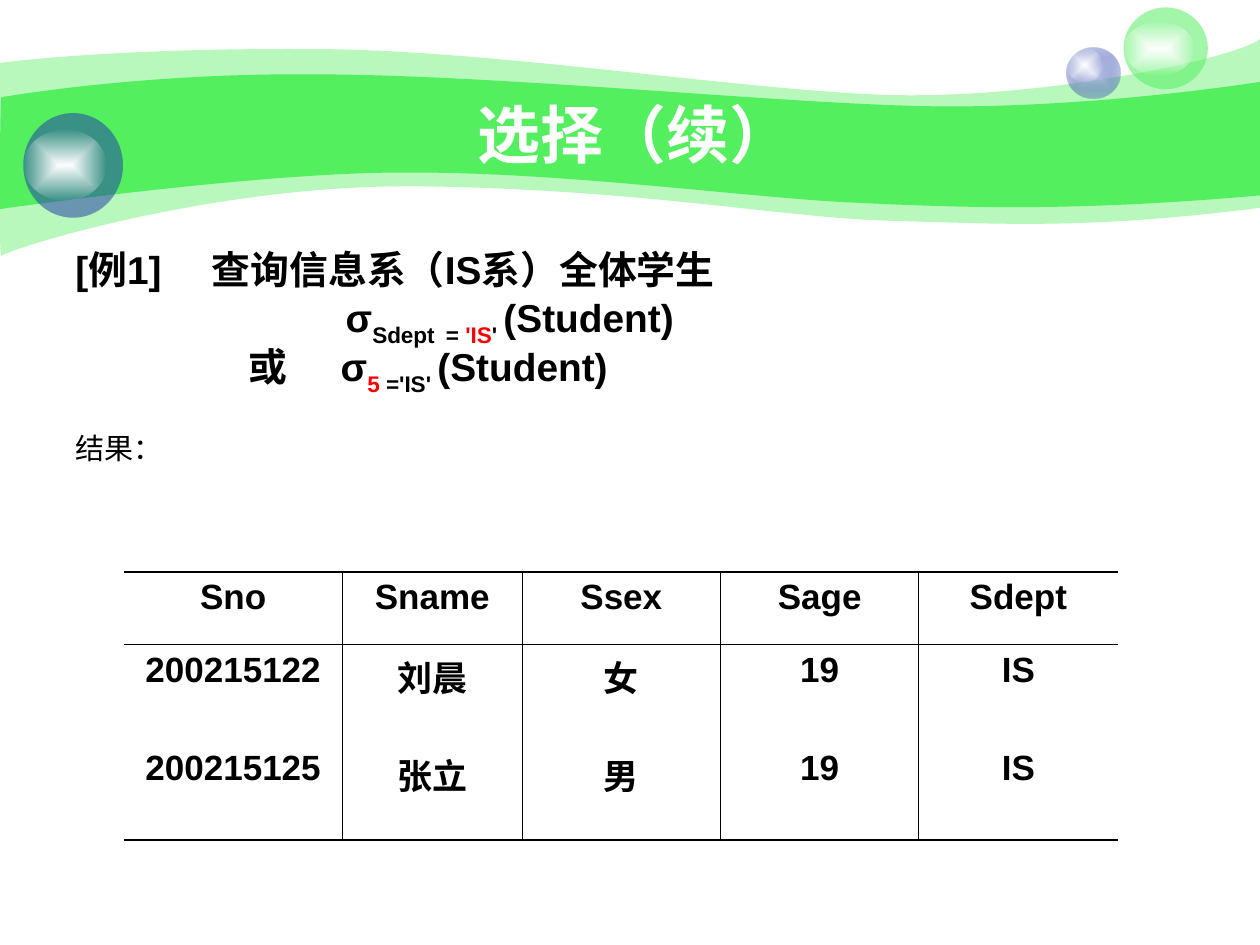
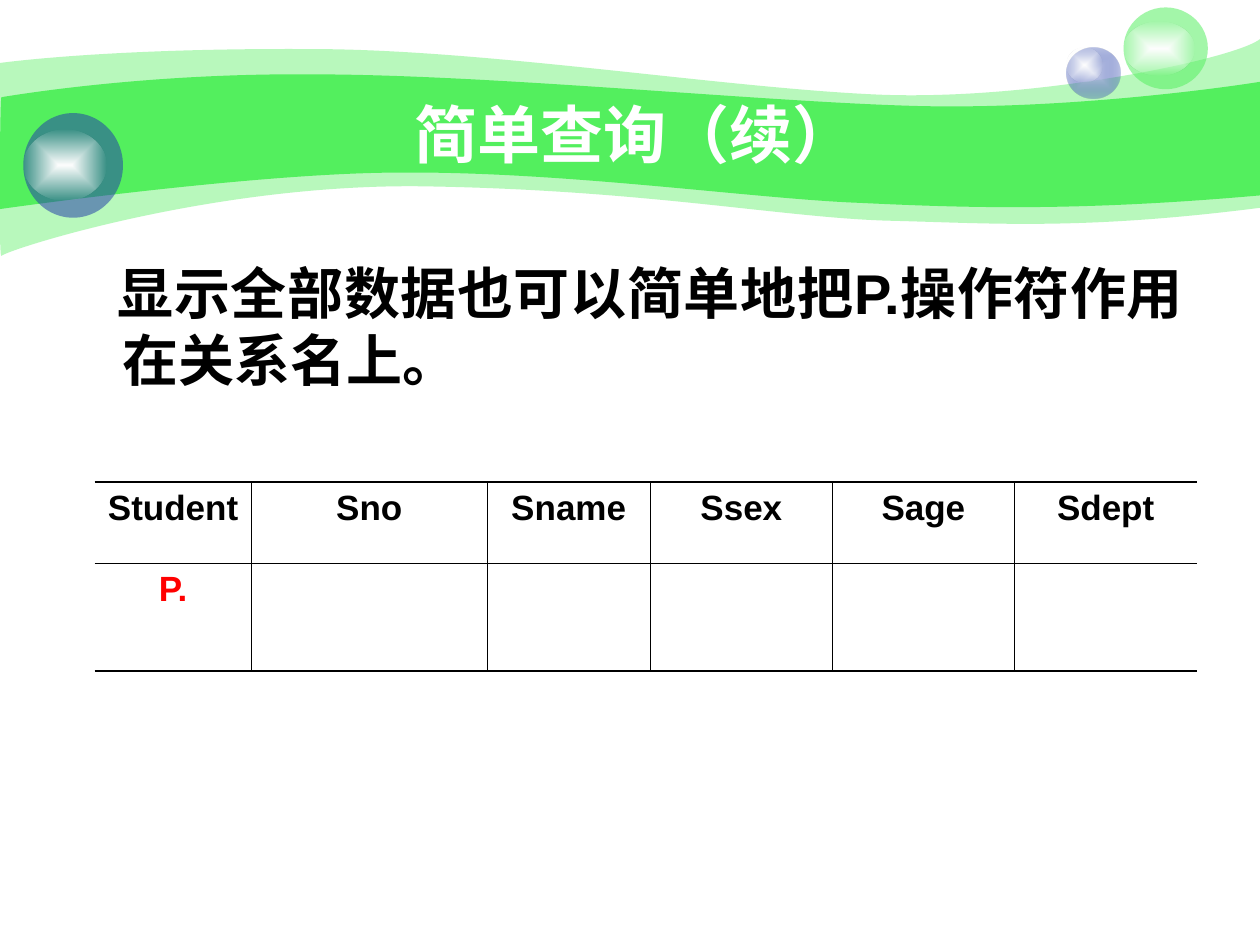
from lxml import etree
from pptx import Presentation
from pptx.dml.color import RGBColor
from pptx.enum.shapes import MSO_SHAPE
from pptx.enum.text import MSO_ANCHOR, PP_ALIGN
from pptx.oxml.ns import qn
from pptx.util import Cm, Pt

OVAL = MSO_SHAPE.OVAL
MIDDLE = MSO_ANCHOR.MIDDLE
LEFT, CENTER, JUSTIFY = PP_ALIGN.LEFT, PP_ALIGN.CENTER, PP_ALIGN.JUSTIFY

GREEN = RGBColor(0x53, 0xEF, 0x5E)
BLUE = RGBColor(0x23, 0x3D, 0xA9)
PALE = RGBColor(0xC7, 0xCE, 0xE9)
WHITE = RGBColor(0xFF, 0xFF, 0xFF)
BLACK = RGBColor(0, 0, 0)
RED = RGBColor(0xFF, 0, 0)
FONT = "Arial"

THICK, THIN = 1.08, 0.45

# Band outlines in cm: a start, then curves (six numbers) or lines (two)
OUTER = [
    (0, 1.27),
    (0.61, 1.19, 2.72, 0.97, 6.27, 0.99),
    (9.8, 0.99, 14.61, 1.78, 17.75, 1.91),
    (20.88, 2.03, 24.89, 1.19, 25.4, 0.79),
    (25.4, 4.19),
    (21.79, 4.65, 19.99, 4.5, 17.91, 4.45),
    (15.8, 4.39, 13.08, 3.84, 8.71, 3.76),
    (4.37, 3.66, 0.1, 5.05, 0.03, 5.16),
    (-0.03, 5.28, 0, 1.91, 0, 1.27),
]
INNER = [
    (0.03, 1.96),
    (0.05, 1.96, 2.79, 1.47, 6.3, 1.5),
    (9.8, 1.5, 15.11, 2.03, 18.24, 2.13),
    (21.36, 2.24, 24.79, 1.75, 25.4, 1.65),
    (25.4, 3.94),
    (21.67, 4.27, 19.43, 4.19, 17.32, 4.09),
    (15.21, 4.01, 11.35, 3.45, 8.05, 3.48),
    (5.16, 3.48, -0.05, 4.22, -0.03, 4.22),
    (0, 4.22, 0, 1.96, 0.03, 1.96),
]


def add_node(parent, tag, **attrs):
    node = etree.SubElement(parent, qn(tag))
    for key, value in attrs.items():
        node.set(key, str(value))
    return node


def set_alpha(color, alpha):
    add_node(color, "a:alpha", val=alpha * 1000)


def strip(shape):
    shape.shadow.inherit = False
    shape.line.fill.background()


def fill_flat(shape, color, alpha=100):
    shape.fill.solid()
    shape.fill.fore_color.rgb = color
    if alpha < 100:
        set_alpha(next(shape._element.spPr.iter(qn("a:srgbClr"))), alpha)


def fill_glow(shape, core, rim, alpha):
    """Fade from the core colour to a see-through rim."""
    shape.fill.background()
    old = shape._element.spPr.find(qn("a:noFill"))
    grad = etree.Element(qn("a:gradFill"), rotWithShape="1")
    stops = add_node(grad, "a:gsLst")
    for pos, color, clear in ((0, core, 100), (100, rim, alpha)):
        stop = add_node(stops, "a:gs", pos=pos * 1000)
        set_alpha(add_node(stop, "a:srgbClr", val=color), clear)
    focus = add_node(grad, "a:path", path="rect")
    add_node(focus, "a:fillToRect", l=50000, t=50000, r=50000, b=50000)
    old.getparent().replace(old, grad)


def add_band(slide, outline, alpha):
    """Join the end points, then bend each line that has handles."""
    ends = [(Cm(part[-2]), Cm(part[-1])) for part in outline]
    pen = slide.shapes.build_freeform(*ends[0])
    pen.add_line_segments(ends[1:], close=True)
    band = pen.convert_to_shape()
    lines = list(band._element.spPr.iter(qn("a:lnTo")))
    for line, part in zip(lines, outline[1:]):
        if len(part) == 6:
            curve = etree.Element(qn("a:cubicBezTo"))
            for x, y in zip(part[::2], part[1::2]):
                add_node(curve, "a:pt", x=Cm(x) - band.left,
                         y=Cm(y) - band.top)
            line.getparent().replace(line, curve)
    strip(band)
    fill_flat(band, GREEN, alpha)


def add_ball(slide, left, top, width, height, shine):
    """Draw a ball and its shine: drop from the top, width, height."""
    drop, wide, high = shine
    ball = slide.shapes.add_shape(
        OVAL, Cm(left), Cm(top), Cm(width), Cm(height))
    strip(ball)
    spot = slide.shapes.add_shape(
        OVAL, Cm(left), Cm(top + drop), Cm(wide), Cm(high))
    strip(spot)
    fill_glow(spot, WHITE, WHITE, 0)
    return ball


def add_frame(slide, left, top, width, height):
    box = slide.shapes.add_textbox(Cm(left), Cm(top), Cm(width), Cm(height))
    box.text_frame.word_wrap = True
    return box.text_frame


def style(font, size, color=BLACK, bold=True):
    font.name, font.size, font.bold = FONT, Pt(size), bold
    font.color.rgb = color


def add_base(deck, title):
    """Start a slide with bands, balls and title."""
    slide = deck.slides.add_slide(deck.slide_layouts[6])
    add_band(slide, OUTER, 41)
    add_band(slide, INNER, 100)
    small = add_ball(slide, 21.51, 0.97, 1.07, 1.02, (0, 0.71, 0.69))
    fill_glow(small, PALE, BLUE, 31)
    light = add_ball(slide, 22.65, 0.15, 1.7, 1.65, (0.28, 1.42, 1.09))
    fill_flat(light, GREEN, 53)
    dark = add_ball(slide, 0.47, 2.28, 2.01, 2.11, (0.34, 1.68, 1.42))
    fill_flat(dark, BLUE, 53)

    frame = add_frame(slide, 2.54, 1.9, 20.52, 1.57)
    frame.vertical_anchor = MIDDLE
    frame.text = title
    head = frame.paragraphs[0]
    head.alignment = CENTER
    style(head.runs[0].font, 36, WHITE)
    return slide


def add_lines(frame, lines):
    """Write lines of (space before, size, bold, tabs, runs)."""
    for i, (space, size, bold, stops, runs) in enumerate(lines):
        para = frame.add_paragraph() if i else frame.paragraphs[0]
        para.alignment = LEFT
        if stops:
            tabs = add_node(para._p.get_or_add_pPr(), "a:tabLst")
            for stop in stops:
                add_node(tabs, "a:tab", pos=Cm(stop), algn="l")
        para.line_spacing = 0.7
        if space:
            para.space_before = Pt(space)
        for text, color, low in runs:
            run = para.add_run()
            run.text = text
            style(run.font, size, color, bold)
            if low:
                run._r.get_or_add_rPr().set("baseline", "-30000")


def set_edges(cell, edges):
    """Set cell borders; a width of 0 means no line."""
    props = cell._tc.get_or_add_tcPr()
    for i, (side, width) in enumerate(zip("LRTB", edges)):
        line = etree.Element(qn("a:ln" + side), w=str(int(Pt(width))))
        if width:
            fill = add_node(line, "a:solidFill")
            add_node(fill, "a:srgbClr", val=BLACK)
        else:
            add_node(line, "a:noFill")
        props.insert(i, line)


def add_grid(slide, left, top, widths, heights, rows, marked=()):
    """Add a table with open sides and a rule below its header."""
    tall, wide = len(heights), len(widths)
    grid = slide.shapes.add_table(
        tall, wide, Cm(left), Cm(top), Cm(sum(widths)), Cm(sum(heights))).table
    grid.first_row = grid.horz_banding = False
    for col, width in zip(grid.columns, widths):
        col.width = Cm(width)
    for row, height in zip(grid.rows, heights):
        row.height = Cm(height)

    rules = [THICK, THIN] + [0] * (tall - 2) + [THICK]
    posts = [0] + [THIN] * (wide - 1) + [0]
    for r, row in enumerate(rows):
        for c, text in enumerate(row):
            cell = grid.cell(r, c)
            cell.fill.background()
            set_edges(cell, posts[c:c + 2] + rules[r:r + 2])
            cell.text = text
            para = cell.text_frame.paragraphs[0]
            para.alignment = CENTER
            for run in para.runs:
                style(run.font, 20, RED if text in marked else BLACK)


def add_select(deck):
    slide = add_base(deck, "选择（续）")
    # Query in two forms
    add_lines(add_frame(slide, 1.27, 5.08, 20.42, 4.65), [
        (0, 22.2, True, [2.75],
         [("[例1]\t查询信息系（IS系）全体学生", BLACK, False)]),
        (6, 22.2, True, [5.45, 7.47],
         [("\tσ", BLACK, False), ("Sdept\t= ", BLACK, True),
          ("'IS", RED, True), ("' ", BLACK, True),
          ("(Student)", BLACK, False)]),
        (6, 22.2, True, [3.5, 5.35],
         [("\t或\tσ", BLACK, False), ("5", RED, True),
          (" ='IS' ", BLACK, True), ("(Student)", BLACK, False)]),
        (29, 16.6, False, [], [("结果：", BLACK, False)]),
    ])
    # Result rows
    add_grid(slide, 2.49, 11.53, [4.42, 3.61, 4.01, 3.99, 4.02],
             [1.46, 1.97, 1.97], [
        ["Sno", "Sname", "Ssex", "Sage", "Sdept"],
        ["200215122", "刘晨", "女", "19", "IS"],
        ["200215125", "张立", "男", "19", "IS"],
    ])


def add_query(deck):
    slide = add_base(deck, "简单查询（续）")
    # Rule for showing all data
    frame = add_frame(slide, 1.27, 5.08, 22.83, 4.04)
    frame.text = "显示全部数据也可以简单地把P.操作符作用在关系名上。"
    para = frame.paragraphs[0]
    para.alignment = JUSTIFY
    props = para._p.get_or_add_pPr()
    props.set("marL", str(Cm(0.95)))
    props.set("indent", str(Cm(-0.1)))
    style(para.runs[0].font, 32)
    # Query form
    add_grid(slide, 1.91, 9.72, [3.16, 4.75, 3.29, 3.67, 3.67, 3.68],
             [1.64, 2.17], [
        ["Student", "Sno", "Sname", "Ssex", "Sage", "Sdept"],
        ["P."] + [""] * 5,
    ], marked=("P.",))


def main():
    deck = Presentation()
    deck.slide_width, deck.slide_height = Cm(25.4), Cm(19.05)
    add_select(deck)
    add_query(deck)
    deck.save("out.pptx")


if __name__ == "__main__":
    main()
